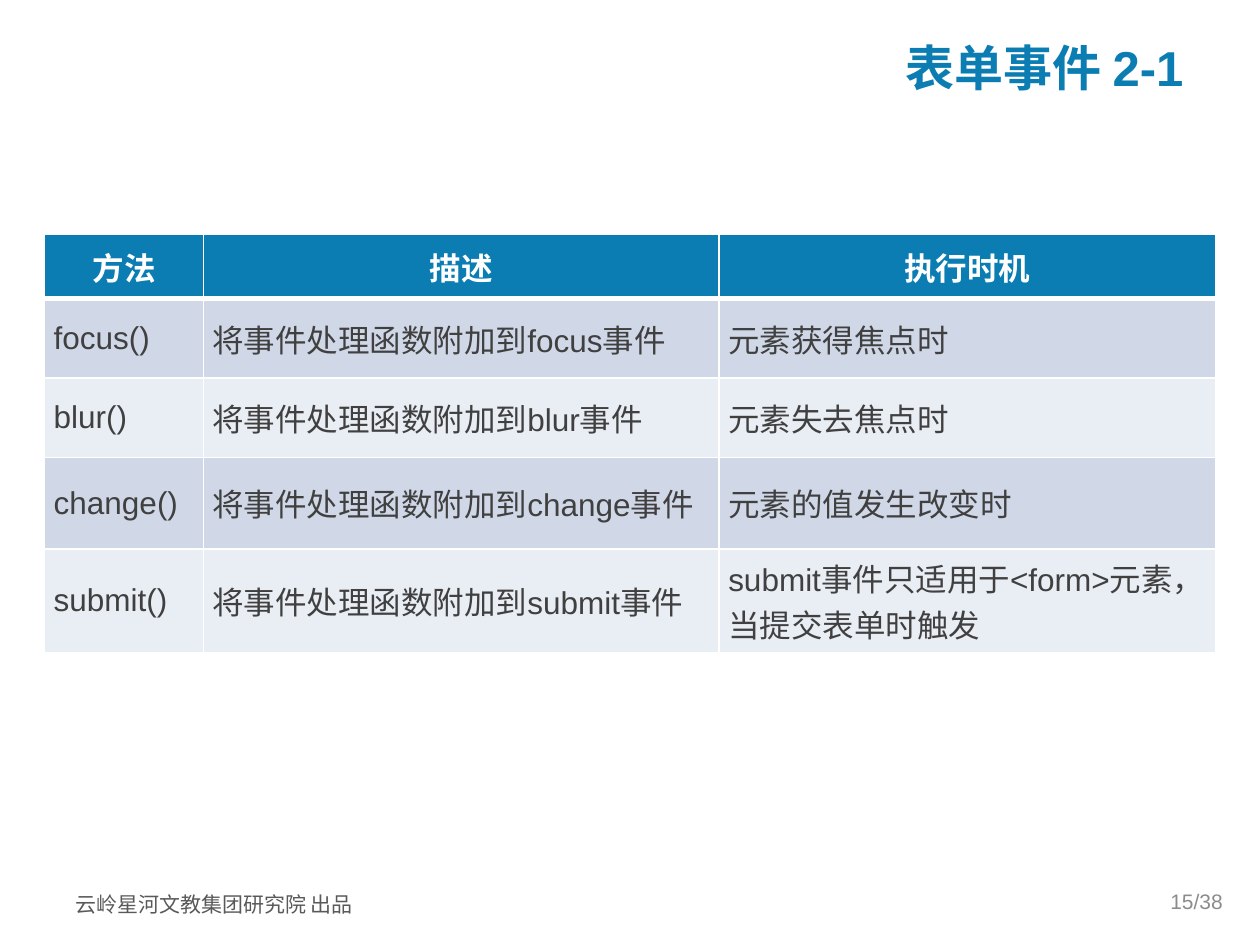
from dataclasses import dataclass

from lxml import etree
from pptx import Presentation
from pptx import util as u
from pptx.dml.color import RGBColor
from pptx.enum import text
from pptx.oxml import ns

ALIGN = text.PP_ALIGN


@dataclass(frozen=True)
class Theme:
    accent: str = "0B7DB2"
    white: str = "FFFFFF"
    body: str = "404040"
    footer: str = "595959"
    page: str = "8C8C8C"
    bands: tuple[str, str] = ("D0D8E8", "E9EDF4")
    latin: str = "Arial"
    chinese: str = "Noto Sans CJK SC"
    title_size: float = 28
    table_size: float = 18
    small_size: float = 12
    border: float = 1
    header_border: float = 3


@dataclass(frozen=True)
class Label:
    words: str
    left: float
    top: float
    width: float
    height: float
    size: float
    color: str
    font: str
    bold: bool = False
    align: ALIGN = ALIGN.RIGHT
    line_spacing: float = 1.0


@dataclass(frozen=True)
class EventRow:
    method: str
    timing: str
    height: float = 45.4

    @property
    def cells(self) -> tuple[str, str, str]:
        event = self.method.removesuffix("()")
        return self.method, f"将事件处理函数附加到{event}事件", self.timing


THEME = Theme()

LABELS = (
    Label("云岭星河文教集团研究院 出品", 36, 503, 200, 24.5, THEME.small_size,
          THEME.footer, THEME.chinese, align=ALIGN.LEFT, line_spacing=1.2),
    Label("表单事件 2-1", 72, 22, 611.3, 32, THEME.title_size,
          THEME.accent, THEME.latin, bold=True),
    Label("15/38", 537.8, 500.4, 168, 28.8, THEME.small_size,
          THEME.page, THEME.latin),
)

HEADINGS = ("方法", "描述", "执行时机")
HEADER_HEIGHT = 36.7
COLUMN_WIDTHS = (90.7, 294.8, 283.7)
EVENTS = (
    EventRow("focus()", "元素获得焦点时"),
    EventRow("blur()", "元素失去焦点时"),
    EventRow("change()", "元素的值发生改变时", 52.2),
    EventRow("submit()", "submit事件只适用于<form>元素，当提交表单时触发", 59.6),
)


def write(frame, words: str, *, size: float, color: str, font: str = THEME.latin,
          bold: bool = False, align: ALIGN = ALIGN.LEFT,
          line_spacing: float = 1.0, space_before: float = 0) -> None:
    paragraph = frame.paragraphs[0]
    paragraph.alignment = align
    paragraph.line_spacing = line_spacing
    paragraph.space_before = u.Pt(space_before)
    run = paragraph.add_run()
    run.text = words
    run.font.size = u.Pt(size)
    run.font.bold = bold
    run.font.name = font
    run.font.color.rgb = RGBColor.from_string(color)
    # East Asian typeface for the Chinese characters
    etree.SubElement(run.font._element, ns.qn("a:ea"), typeface=THEME.chinese)


def draw_label(slide, label: Label) -> None:
    box = slide.shapes.add_textbox(*map(u.Pt, (label.left, label.top,
                                               label.width, label.height)))
    box.text_frame.word_wrap = True
    box.text_frame.vertical_anchor = text.MSO_ANCHOR.MIDDLE
    write(box.text_frame, label.words, size=label.size, color=label.color,
          font=label.font, bold=label.bold, align=label.align,
          line_spacing=label.line_spacing)


def set_borders(cell, top: float, bottom: float) -> None:
    widths = {"lnL": THEME.border, "lnR": THEME.border, "lnT": top, "lnB": bottom}
    properties = cell._tc.get_or_add_tcPr()
    for index, (side, width) in enumerate(widths.items()):
        line = etree.Element(ns.qn(f"a:{side}"), w=str(u.Pt(width)))
        fill = etree.SubElement(line, ns.qn("a:solidFill"))
        etree.SubElement(fill, ns.qn("a:srgbClr"), val=THEME.white)
        properties.insert(index, line)


def draw_cell(cell, words: str, row: int) -> None:
    header = row == 0
    cell.margin_left = cell.margin_right = u.Pt(5.2)
    cell.margin_top = cell.margin_bottom = 0
    cell.vertical_anchor = text.MSO_ANCHOR.MIDDLE
    cell.fill.solid()
    color = THEME.accent if header else THEME.bands[(row - 1) % 2]
    cell.fill.fore_color.rgb = RGBColor.from_string(color)
    set_borders(cell, top=THEME.header_border if row == 1 else THEME.border,
                bottom=THEME.header_border if header else THEME.border)
    write(cell.text_frame, words, size=THEME.table_size, bold=header,
          color=THEME.white if header else THEME.body,
          align=ALIGN.CENTER if header else ALIGN.LEFT,
          space_before=0.2 * THEME.table_size)


def draw_table(slide, left: float, top: float) -> None:
    heights = (HEADER_HEIGHT, *(event.height for event in EVENTS))
    rows = (HEADINGS, *(event.cells for event in EVENTS))
    table = slide.shapes.add_table(
        len(rows), len(HEADINGS), u.Pt(left), u.Pt(top),
        u.Pt(sum(COLUMN_WIDTHS)), u.Pt(sum(heights))).table
    table.first_row = table.horz_banding = False
    for column, width in zip(table.columns, COLUMN_WIDTHS):
        column.width = u.Pt(width)
    for index, (height, words) in enumerate(zip(heights, rows)):
        table.rows[index].height = u.Pt(height)
        for cell, content in zip(table.rows[index].cells, words):
            draw_cell(cell, content, index)


def main() -> None:
    presentation = Presentation()
    presentation.slide_width, presentation.slide_height = u.Pt(720), u.Pt(540)
    slide = presentation.slides.add_slide(presentation.slide_layouts[6])

    # Footer, title and page number
    for label in LABELS:
        draw_label(slide, label)

    # Form event methods
    draw_table(slide, left=25.5, top=134)

    presentation.save("out.pptx")


if __name__ == "__main__":
    main()
